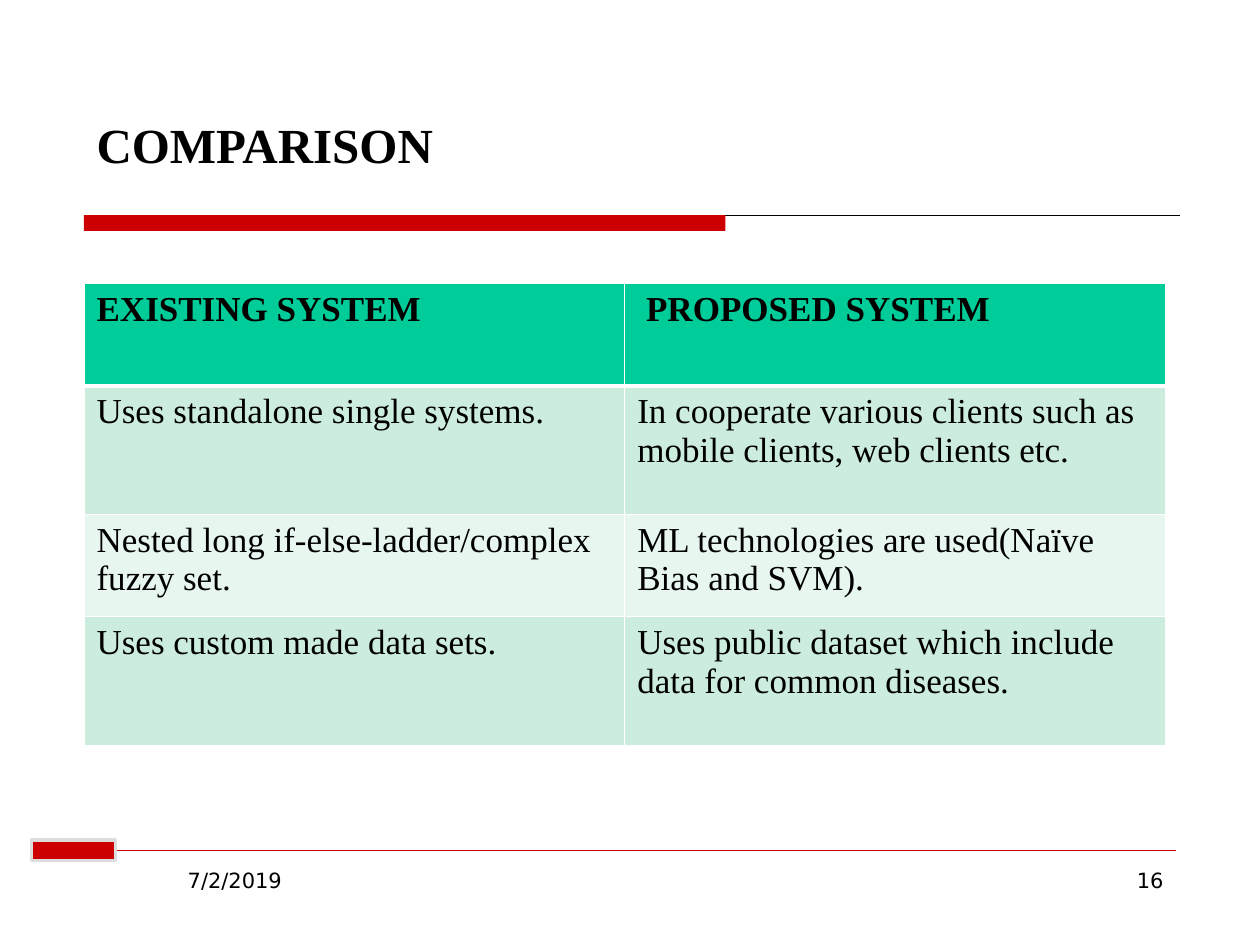
from dataclasses import dataclass
from lxml.etree import SubElement as Sub
from pptx import Presentation as Deck
from pptx.dml.color import RGBColor as Rgb
from pptx.enum.shapes import MSO_CONNECTOR as Link, MSO_SHAPE as Form
from pptx.enum.text import MSO_ANCHOR as Anchor, PP_ALIGN as Align
from pptx.oxml.ns import qn
from pptx.util import Inches, Pt


@dataclass(frozen=True)
class Theme:
    serif: str = "Times New Roman"
    sans: str = "DejaVu Sans"
    ink: str = "000000"
    red: str = "CC0000"
    edge: str = "DDDDDD"
    white: str = "FFFFFF"
    head: str = "00CC99"
    bands: tuple = ("CCECDE", "E7F6EF")
    title: int = 28
    body: int = 20
    foot: int = 12


def unit(n):
    return Inches(n / 12)


class Page:
    def __init__(self, deck, theme):
        self.theme = theme
        self.slide = deck.slides.add_slide(deck.slide_layouts[5])
        self.shapes = self.slide.shapes

    def style(self, para, size, face, bold=False):
        font = para.font
        font.name, font.size, font.bold = face, Pt(size), bold
        font.color.rgb = Rgb.from_string(self.theme.ink)

    def title(self, text, x, y, w, h, rise):
        box = self.shapes.title
        box.left, box.top, box.width, box.height = map(unit, (x, y, w, h))
        frame = box.text_frame
        frame.text = text
        frame.word_wrap = True
        frame.vertical_anchor = Anchor.BOTTOM
        frame.margin_bottom = unit(rise)
        para = frame.paragraphs[0]
        para.alignment, para.line_spacing = Align.LEFT, 0.91
        self.style(para, self.theme.title, self.theme.serif, True)

    def text(self, text, x, y, w, h, align):
        frame = self.shapes.add_textbox(*map(unit, (x, y, w, h))).text_frame
        frame.word_wrap = True
        frame.text = text
        para = frame.paragraphs[0]
        para.alignment = align
        self.style(para, self.theme.foot, self.theme.sans)

    def bar(self, x, y, w, h, edge=None):
        box = self.shapes.add_shape(Form.RECTANGLE, *map(unit, (x, y, w, h)))
        box.shadow.inherit = False
        box.fill.solid()
        box.fill.fore_color.rgb = Rgb.from_string(self.theme.red)
        if edge:
            box.line.color.rgb = Rgb.from_string(edge)
            box.line.width = Pt(1.76)
        else:
            box.line.fill.background()

    def rule(self, x, y, end, color, width):
        line = self.shapes.add_connector(Link.STRAIGHT, *map(unit, (x, y, end, y)))
        line.line.color.rgb = Rgb.from_string(color)
        line.line.width = Pt(width)
        Sub(line._element.spPr, qn("a:effectLst"))

    def border(self, cell, sides):
        props = cell._tc.get_or_add_tcPr()
        for spot, (side, width) in enumerate(sides.items()):
            line = Sub(props, qn("a:ln" + side), w=str(Pt(width)))
            fill = Sub(line, qn("a:solidFill"))
            Sub(fill, qn("a:srgbClr"), val=self.theme.white)
            props.insert(spot, line)

    def table(self, data, x, y, w, rows):
        theme = self.theme
        size = map(unit, (x, y, w, sum(rows)))
        grid = self.shapes.add_table(len(data), len(data[0]), *size).table
        for r, (texts, high) in enumerate(zip(data, rows)):
            grid.rows[r].height = unit(high)
            tint = theme.bands[(r - 1) % 2] if r else theme.head
            for c, text in enumerate(texts):
                cell = grid.cell(r, c)
                cell.text = text
                cell.fill.solid()
                cell.fill.fore_color.rgb = Rgb.from_string(tint)
                self.style(cell.text_frame.paragraphs[0], theme.body, theme.serif, r == 0)
                top, low = (3 if r == 1 else 1), (1 if r else 3)
                self.border(cell, {"L": 1, "R": 1, "T": top, "B": low})
        grid.cell(0, 1).margin_left = Inches(0.17)


deck = Deck()
deck.slide_width, deck.slide_height = unit(120), unit(90)
theme = Theme()
page = Page(deck, theme)

page.rule(8, 20.5, 112.4, theme.ink, 0.74)
page.bar(8, 20.5, 61.1, 1.5)
page.rule(8, 81, 112, theme.red, 0.26)
page.title("COMPARISON", 8, 6, 107, 22, 11.4)
page.text("7/2/2019", 16.7, 82, 30, 6, Align.LEFT)
page.text("16", 92, 82, 20, 6, Align.RIGHT)
page.bar(3, 80, 8, 2, theme.edge)
page.table(
    [
        ("EXISTING SYSTEM", "PROPOSED SYSTEM"),
        ("Uses standalone single systems.",
         "In cooperate various clients such as mobile clients, web clients etc."),
        ("Nested long if-else-ladder/complex fuzzy set.",
         "ML technologies are used(Naïve Bias and SVM)."),
        ("Uses custom made data sets.",
         "Uses public dataset which include data for common diseases."),
    ],
    8, 27, 103, (9.75, 12.25, 9.75, 12.25),
)

deck.save("out.pptx")
